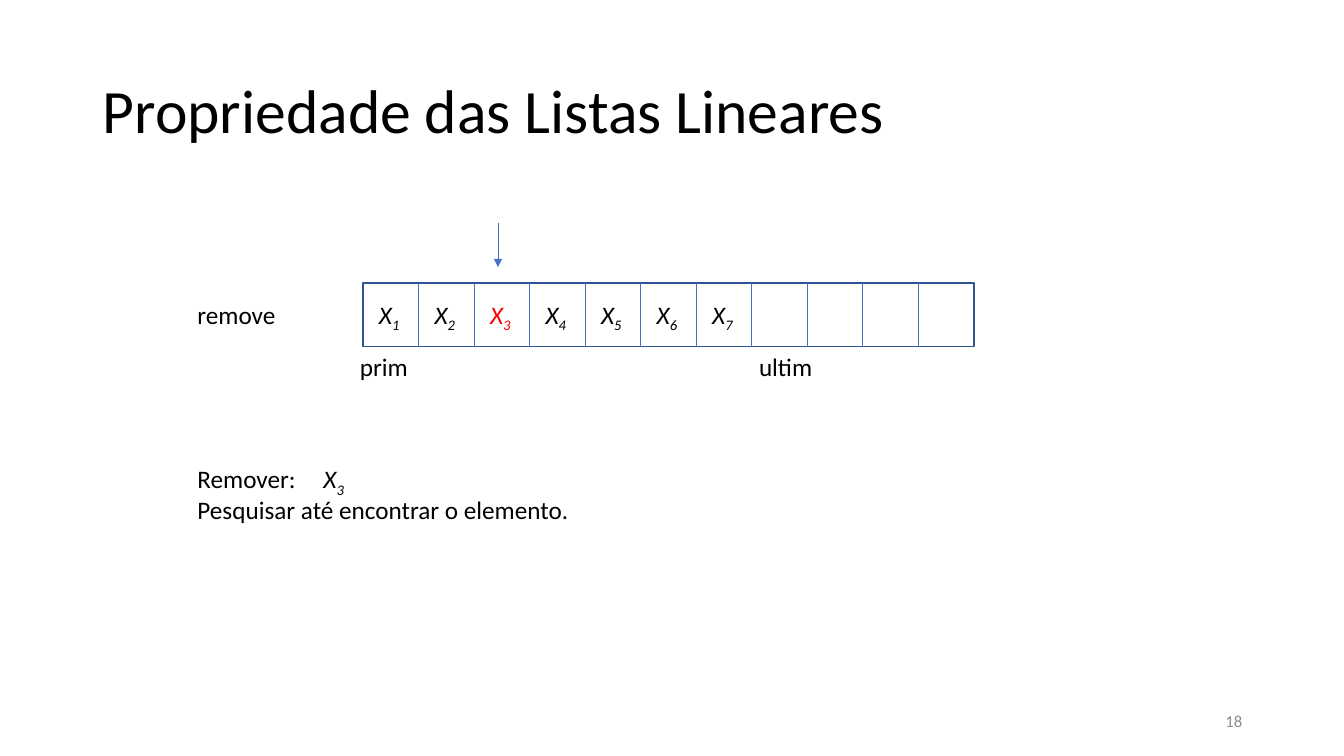
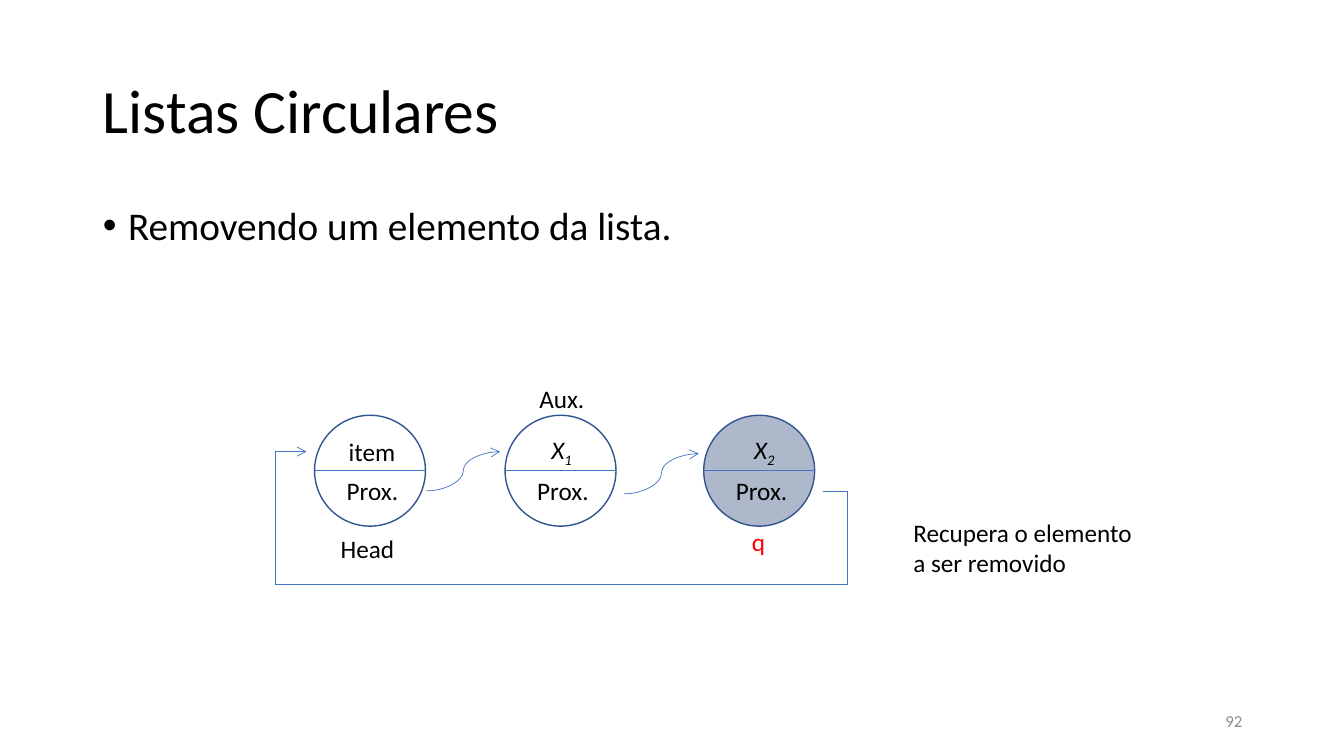
import itertools

import lxml.etree
import pptx
import pptx.dml.color
import pptx.enum.shapes
import pptx.enum.text
import pptx.oxml.ns
import pptx.util

Inches = pptx.util.Inches
Pt = pptx.util.Pt
RGBColor = pptx.dml.color.RGBColor
Shape = pptx.enum.shapes.MSO_SHAPE
Connector = pptx.enum.shapes.MSO_CONNECTOR
Anchor = pptx.enum.text.MSO_ANCHOR
Align = pptx.enum.text.PP_ALIGN
AutoSize = pptx.enum.text.MSO_AUTO_SIZE
qn = pptx.oxml.ns.qn

BLACK = RGBColor(0x00, 0x00, 0x00)
RED = RGBColor(0xFF, 0x00, 0x00)
GRAY = RGBColor(0x8C, 0x8C, 0x8C)
BLUE = RGBColor(0x44, 0x72, 0xC4)
OUTLINE = RGBColor(0x32, 0x54, 0x91)
SHADED = RGBColor(0xAD, 0xB9, 0xCA)

FONT = "Calibri"
TITLE_AND_CONTENT, TITLE_ONLY = 1, 5
CONTENT_LEFT, CONTENT_WIDTH = 0.92, 11.5
LINE_HEIGHT, BOX_MARGINS = 0.3, 0.1

ARRAY_LEFT, ARRAY_TOP, ARRAY_WIDTH, ARRAY_HEIGHT = 3.6, 2.81, 6.06, 0.63
CELL_COUNT, ITEM_COUNT, REMOVED_ITEM = 11, 7, 3
CELL_WIDTH = ARRAY_WIDTH / CELL_COUNT

NODE_TOP, NODE_SIZE = 4.12, 1.1
NODE_MIDDLE = NODE_TOP + NODE_SIZE / 2


def place(shape, left, top, width, height):
    shape.left, shape.top = Inches(left), Inches(top)
    shape.width, shape.height = Inches(width), Inches(height)


def style_font(font, size, color=BLACK):
    font.name = FONT
    font.size = Pt(size)
    font.color.rgb = color


def style_frame(frame, size, color=BLACK):
    for para in frame.paragraphs:
        for span in para.runs:
            style_font(span.font, size, color)


def add_page(deck, layout, title, number):
    """Add a slide with its title and its page number."""
    page = deck.slides.add_slide(deck.slide_layouts[layout])
    heading = page.shapes.title
    place(heading, CONTENT_LEFT, 0.4, CONTENT_WIDTH, 1.45)
    frame = heading.text_frame
    frame.text = title
    frame.auto_size = AutoSize.NONE
    frame.vertical_anchor = Anchor.MIDDLE
    frame.paragraphs[0].alignment = Align.LEFT
    frame.paragraphs[0].line_spacing = 0.9
    style_frame(frame, 44)

    box = page.shapes.add_textbox(Inches(9.42), Inches(6.95), Inches(3), Inches(0.4))
    frame = box.text_frame
    frame.word_wrap = True
    frame.vertical_anchor = Anchor.MIDDLE
    frame.text = str(number)
    frame.paragraphs[0].alignment = Align.RIGHT
    style_frame(frame, 12, GRAY)
    return page


def add_bullet(page, text):
    body = page.placeholders[1]
    place(body, CONTENT_LEFT, 2, CONTENT_WIDTH, 4.76)
    frame = body.text_frame
    frame.text = text
    frame.auto_size = AutoSize.NONE
    para = frame.paragraphs[0]
    para.line_spacing = 0.9
    para.space_before = Pt(0)
    frame.margin_top = Inches(0.05)
    properties = para._p.get_or_add_pPr()
    properties.set("marL", str(Inches(0.25)))
    properties.set("indent", str(Inches(-0.25)))
    lxml.etree.SubElement(properties, qn("a:buChar")).set("char", "•")
    style_frame(frame, 28)


def add_label(page, left, top, width, text, color=BLACK):
    height = BOX_MARGINS + LINE_HEIGHT * len(text.split("\n"))
    box = page.shapes.add_textbox(Inches(left), Inches(top), Inches(width), Inches(height))
    frame = box.text_frame
    frame.text = text
    frame.word_wrap = False
    frame.auto_size = AutoSize.SHAPE_TO_FIT_TEXT
    style_frame(frame, 18, color)
    return box


def add_item(page, left, top, index, color=BLACK):
    """Add an italic X with its index as a subscript."""
    box = add_label(page, left, top, 0.42, "X", color)
    para = box.text_frame.paragraphs[0]
    subscript = para.add_run()
    subscript.text = str(index)
    style_font(subscript.font, 18, color)
    subscript._r.get_or_add_rPr().set("baseline", "-25000")
    for span in para.runs:
        span.font.italic = True


def add_outline(page, preset, left, top, width, height, fill=None):
    shape = page.shapes.add_shape(
        preset, Inches(left), Inches(top), Inches(width), Inches(height))
    shape.shadow.inherit = False
    if fill is None:
        shape.fill.background()
    else:
        shape.fill.solid()
        shape.fill.fore_color.rgb = fill
    shape.line.color.rgb = OUTLINE
    shape.line.width = Pt(1)


def add_line(page, start, end, arrowhead=None, kind=Connector.STRAIGHT):
    line = page.shapes.add_connector(kind, *(Inches(value) for value in (*start, *end)))
    line.line.color.rgb = BLUE
    line.line.width = Pt(0.5)
    if arrowhead:
        outline = line.line._get_or_add_ln()
        lxml.etree.SubElement(outline, qn("a:tailEnd")).set("type", arrowhead)
    lxml.etree.SubElement(line._element.spPr, qn("a:effectLst"))


def add_array(page):
    add_outline(page, Shape.RECTANGLE, ARRAY_LEFT, ARRAY_TOP, ARRAY_WIDTH, ARRAY_HEIGHT)
    for cell in range(1, CELL_COUNT):
        x = ARRAY_LEFT + cell * CELL_WIDTH
        add_line(page, (x, ARRAY_TOP), (x, ARRAY_TOP + ARRAY_HEIGHT))
    for index in range(1, ITEM_COUNT + 1):
        left = ARRAY_LEFT + 0.06 + (index - 1) * CELL_WIDTH
        add_item(page, left, 2.92, index, RED if index == REMOVED_ITEM else BLACK)


def add_node(page, left, fill=None):
    """Add a list node: a circle split in two, with its pointer below."""
    add_outline(page, Shape.OVAL, left, NODE_TOP, NODE_SIZE, NODE_SIZE, fill)
    add_line(page, (left, NODE_MIDDLE), (left + NODE_SIZE, NODE_MIDDLE))
    add_label(page, left + 0.22, NODE_MIDDLE, 0.72, "Prox.")


def add_linear_list_page(deck):
    page = add_page(deck, TITLE_ONLY, "Propriedade das Listas Lineares", 18)
    add_array(page)
    add_line(page, (4.94, 2.21), (4.94, 2.65), "triangle")
    add_label(page, 1.86, 2.92, 0.98, "remove")
    add_label(page, 3.47, 3.44, 0.68, "prim")
    add_label(page, 7.43, 3.44, 0.74, "ultim")
    add_label(page, 1.86, 4.55, 3.98, "Remover:\nPesquisar até encontrar o elemento.")
    add_item(page, 3.11, 4.55, REMOVED_ITEM)


def add_circular_list_page(deck):
    page = add_page(deck, TITLE_AND_CONTENT, "Listas Circulares", 92)
    add_bullet(page, "Removendo um elemento da lista.")

    for left, fill in ((3.12, None), (5.01, None), (6.98, SHADED)):
        add_node(page, left, fill)
    add_label(page, 3.36, 4.28, 0.67, "item")
    add_item(page, 5.37, 4.26, 1)
    add_item(page, 7.38, 4.26, 2)

    for start, end in (((4.23, 4.87), (4.96, 4.48)), ((6.19, 4.9), (6.93, 4.5))):
        add_line(page, start, end, "arrow", Connector.CURVE)
    loop = [(8.16, 4.87), (8.4, 4.87), (8.4, 5.8), (2.73, 5.8), (2.73, 4.48), (3.04, 4.48)]
    for start, end in itertools.pairwise(loop):
        add_line(page, start, end, "arrow" if end == loop[-1] else None)

    add_label(page, 3.28, 5.24, 0.74, "Head")
    add_label(page, 5.25, 3.75, 0.65, "Aux.")
    add_label(page, 7.36, 5.17, 0.34, "q", RED)
    add_label(page, 8.96, 5.08, 2.45, "Recupera o elemento\na ser removido")


def main():
    deck = pptx.Presentation()
    deck.slide_width, deck.slide_height = Inches(13.33), Inches(7.5)
    add_linear_list_page(deck)
    add_circular_list_page(deck)
    deck.save("out.pptx")


if __name__ == "__main__":
    main()
